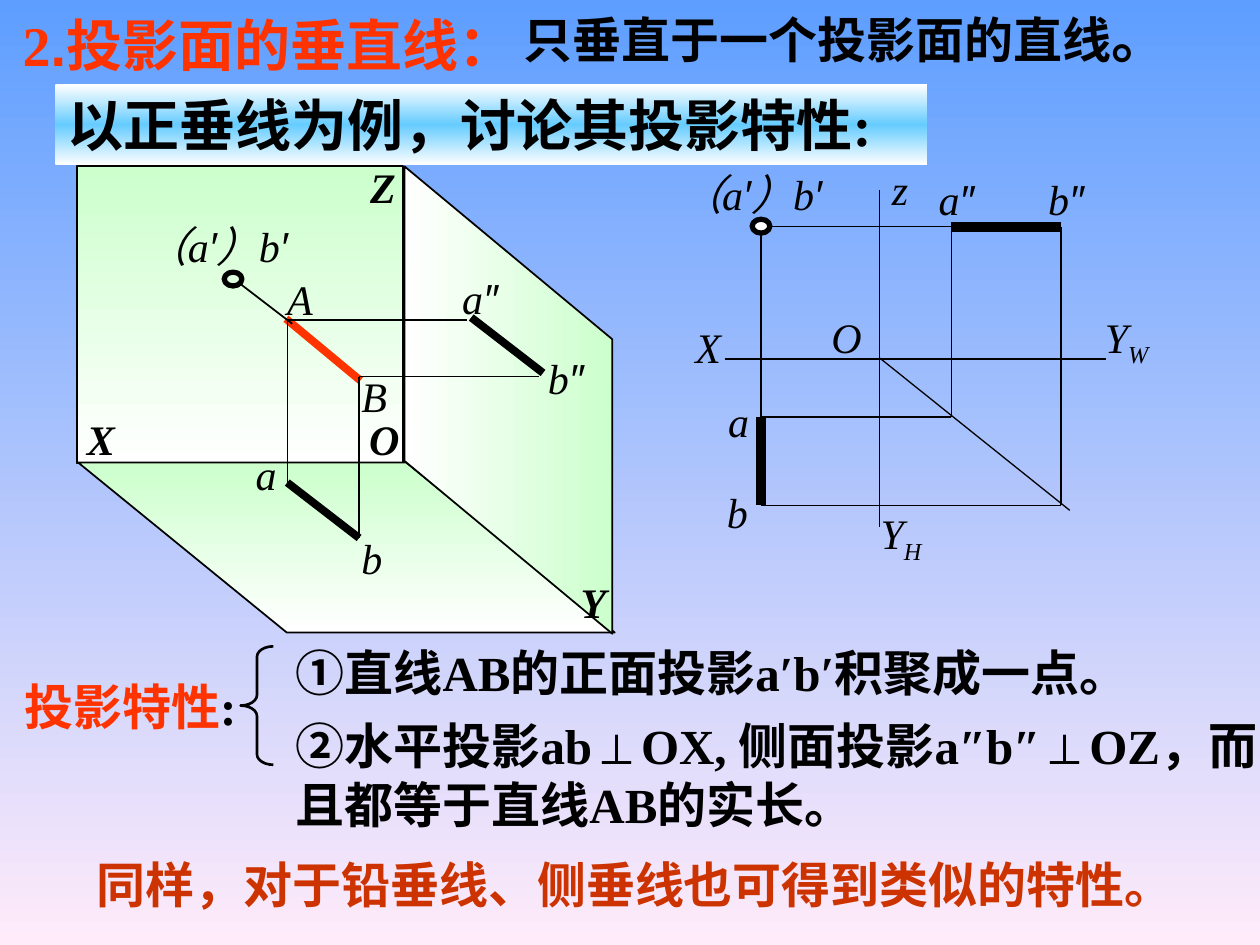
from dataclasses import dataclass
from itertools import groupby

from lxml.etree import SubElement
from pptx import Presentation
from pptx.dml.color import RGBColor
from pptx.enum.shapes import MSO_CONNECTOR, MSO_SHAPE
from pptx.enum.text import MSO_ANCHOR, PP_ALIGN
from pptx.oxml.ns import qn
from pptx.util import Inches, Pt


@dataclass(frozen=True)
class Theme:
    serif: str = "Times New Roman"
    sans: str = "Arial"
    black: str = "000000"
    white: str = "FFFFFF"
    red: str = "FF3300"
    brick: str = "CC3300"
    green: str = "CCFFCC"
    cyan: str = "66CCFF"
    sky: tuple = ("5E9EFF", "FFEBFA")
    title: int = 32
    body: int = 28
    label: int = 24
    hair: float = 0.75
    edge: float = 1
    brace: float = 1.5
    ring: float = 3
    bar: float = 4.5
    thick: float = 6


class SlideBuilder:
    def __init__(self, slide, theme):
        self.slide, self.theme = slide, theme

    def gradient(self, fill, root, colors, angle=90, rotate=True):
        """Fill with evenly spaced colours; angle runs clockwise."""
        fill.gradient()
        fill.gradient_angle = (360 - angle) % 360
        grad = next(root.iter(qn("a:gradFill")))
        grad.set("rotWithShape", str(int(rotate)))
        stops = grad.find(qn("a:gsLst"))
        for gs in list(stops):
            stops.remove(gs)
        for i, color in enumerate(colors):
            pos = str(i * 100000 // (len(colors) - 1))
            gs = SubElement(stops, qn("a:gs"), pos=pos)
            SubElement(gs, qn("a:srgbClr"), val=color)

    def background(self, colors):
        self.gradient(self.slide.background.fill, self.slide._element, colors)

    def shape(self, kind, box, colors=(), width=None, angle=90, rotate=True, adj=None):
        sp = self.slide.shapes.add_shape(kind, *map(Inches, box))
        sp.shadow.inherit = False
        if adj is not None:
            sp.adjustments[0] = adj
        if len(colors) > 1:
            self.gradient(sp.fill, sp._element, colors, angle, rotate)
        elif colors:
            sp.fill.solid()
            sp.fill.fore_color.rgb = RGBColor.from_string(colors[0])
        else:
            sp.fill.background()
        if width:
            sp.line.color.rgb = RGBColor.from_string(self.theme.black)
            sp.line.width = Pt(width)
        else:
            sp.line.fill.background()
        return sp

    def line(self, start, end, width=None, color=None):
        ln = self.slide.shapes.add_connector(
            MSO_CONNECTOR.STRAIGHT, *map(Inches, (*start, *end)))
        ln.line.color.rgb = RGBColor.from_string(color or self.theme.black)
        ln.line.width = Pt(width or self.theme.hair)
        SubElement(ln._element.spPr, qn("a:effectLst"))

    def set_text(self, sp, runs, size, color=None, name=None, bold=True, italic=False,
                 align=PP_ALIGN.LEFT, anchor=MSO_ANCHOR.TOP, wrap=True):
        """Fill in one paragraph; each run is text plus its own font settings."""
        tf = sp.text_frame
        tf.word_wrap = wrap
        tf.vertical_anchor = anchor
        p = tf.paragraphs[0]
        p.alignment = align
        f = p.font
        f.name, f.size, f.bold, f.italic = name or self.theme.serif, Pt(size), bold, italic
        f.color.rgb = RGBColor.from_string(color or self.theme.black)
        for text, own in runs:
            r = p.add_run()
            r.text = text
            if "name" in own:
                r.font.name = own["name"]
            if "size" in own:
                r.font.size = Pt(own["size"])
            if "color" in own:
                r.font.color.rgb = RGBColor.from_string(own["color"])
            if own.get("sub"):
                r._r.get_or_add_rPr().set("baseline", "-25000")

    def title(self, box, runs, **style):
        sp = self.slide.shapes.title
        sp.left, sp.top, sp.width, sp.height = map(Inches, box)
        self.set_text(sp, runs, self.theme.title, anchor=MSO_ANCHOR.MIDDLE, **style)

    def text(self, box, runs, size=None, **style):
        sp = self.slide.shapes.add_textbox(*map(Inches, box))
        self.set_text(sp, runs, size or self.theme.body, **style)

    def label(self, text, x, y, w=0.6, sub="", **style):
        """Italic point or axis name; primes use the sans font."""
        runs = [("".join(g), {"name": self.theme.sans} if prime else {})
                for prime, g in groupby(text, lambda ch: ch in "′″")]
        if sub:
            runs.append((sub, {"sub": True}))
        style = {"bold": False, "italic": True, **style}
        self.text((x, y, w, 0.5), runs, self.theme.label, **style)


def main():
    prs = Presentation()
    prs.slide_width, prs.slide_height = Inches(10), Inches(7.5)
    t = Theme()
    s = SlideBuilder(prs.slides.add_slide(prs.slide_layouts[5]), t)
    s.background(t.sky)

    # Heading
    s.title((0.08, 0.06, 4.68, 0.58), [("2", {"name": t.serif}), (".投影面的垂直线：", {})],
            color=t.red, name=t.sans)
    s.text((4.06, -0.03, 5.57, 0.64),
           [("只垂直于一个投影面的直线", {}), ("。", {"size": t.title})])
    banner = s.shape(MSO_SHAPE.RECTANGLE, (0.44, 0.67, 6.92, 0.64), (t.white, t.cyan, t.white))
    s.set_text(banner, [("以正垂线为例，讨论其投影特性:", {})], t.title)

    # Three projection planes
    pale = (t.green, t.white)
    s.shape(MSO_SHAPE.RECTANGLE, (0.61, 1.32, 2.59, 2.36), pale, t.edge)
    floor = s.shape(MSO_SHAPE.PARALLELOGRAM, (0.62, 3.67, 4.26, 1.35), pale, t.edge, adj=1.227)
    floor._element.spPr.xfrm.set("flipH", "1")
    side = s.shape(MSO_SHAPE.PARALLELOGRAM, (2.18, 2.35, 3.71, 1.65), pale, t.edge,
                   angle=180, rotate=False, adj=0.832)
    side.rotation = 270
    for name, x, y in (("O", 2.76, 3.23), ("X", 0.51, 3.23), ("Z", 2.75, 1.23), ("Y", 4.42, 4.53)):
        s.label(name, x, y, 0.58, bold=True, align=PP_ALIGN.CENTER)

    # Line AB in space with its projections
    a, b = (2.28, 2.54), (2.85, 2.99)
    a_side, b_side = (3.71, a[1]), (4.28, b[1])
    a_floor, b_floor = (a[0], 3.83), (b[0], 4.27)
    s.line((2.27, 2.53), (2.86, 3.02), t.bar, t.red)
    s.line((2.32, 2.57), (1.89, 2.24), t.edge)
    s.line(a, a_side, t.edge)
    for start, end in ((b, b_side), (a, a_floor), (b, b_floor)):
        s.line(start, end)
    s.line((3.74, 2.52), (4.31, 2.96), t.bar)
    s.line(a_floor, b_floor, t.bar)
    s.shape(MSO_SHAPE.OVAL, (1.78, 2.16, 0.14, 0.11), width=t.ring)
    for name, x, y, w in (("A", 2.18, 2.12, 0.65), ("B", 2.77, 2.89, 0.72),
                          ("（a′）b′", 1.06, 1.7, 1.5), ("a″", 3.57, 2.11, 0.8),
                          ("b″", 4.25, 2.75, 0.75), ("a", 1.93, 3.51, 0.29),
                          ("b", 2.77, 4.18, 0.29)):
        s.label(name, x, y, w)

    # Axes and the transfer line of the flat drawing
    s.line((5.75, 2.85), (8.78, 2.85))
    s.line((6.98, 1.51), (6.98, 4.18))
    s.line((6.98, 2.84), (8.49, 4.05))

    # Projection lines of the flat drawing
    left, a_x, b_x = 6.04, 7.55, 8.42
    top, a_y, b_y = 1.8, 3.31, 4.01
    for start, end in (((left, top), (a_x, top)), ((left, top), (left, a_y)),
                       ((left, a_y), (a_x, a_y)), ((a_x, a_y), (a_x, top)),
                       ((left, b_y), (b_x, b_y)), ((b_x, b_y), (b_x, top))):
        s.line(start, end)
    s.line((a_x, top), (b_x, top), t.thick)
    s.line((left, a_y), (left, b_y), t.thick)
    s.shape(MSO_SHAPE.OVAL, (5.97, 1.74, 0.14, 0.11), (t.white,), t.ring)
    for name, x, y, w, sub in (("z", 6.98, 1.25, 0.52, ""), ("X", 5.42, 2.5, 0.51, ""),
                               ("（a′）b′", 5.3, 1.29, 1.5, ""), ("a″", 7.35, 1.33, 0.65, ""),
                               ("b″", 8.22, 1.33, 0.78, ""), ("a", 5.68, 3.09, 0.36, ""),
                               ("b", 5.67, 3.81, 0.82, ""), ("O", 6.5, 2.42, 0.64, ""),
                               ("Y", 6.89, 3.98, 0.71, "H"), ("Y", 8.67, 2.42, 0.72, "W")):
        s.label(name, x, y, w, sub)

    # Projection properties
    s.text((0.05, 5.32, 1.97, 0.57), [("投影特性", {}), (":", {"color": t.black})],
           color=t.red, align=PP_ALIGN.CENTER, wrap=False)
    s.shape(MSO_SHAPE.LEFT_BRACE, (1.91, 5.13, 0.26, 0.94), width=t.brace, adj=0.32)
    s.text((2.25, 5.05, 7.5, 0.57), [("①直线AB的正面投影a′b′积聚成一点。", {})])
    s.text((2.25, 5.63, 8.1, 1.04),
           [("②水平投影ab⊥OX, 侧面投影a″b″⊥OZ，而且都等于直线AB的实长。", {})])

    # Conclusion
    s.text((0.44, 6.73, 9.2, 0.57), [("同样，对于铅垂线、侧垂线也可得到类似的特性。", {})],
           color=t.brick, align=PP_ALIGN.CENTER)

    prs.save("out.pptx")


if __name__ == "__main__":
    main()
